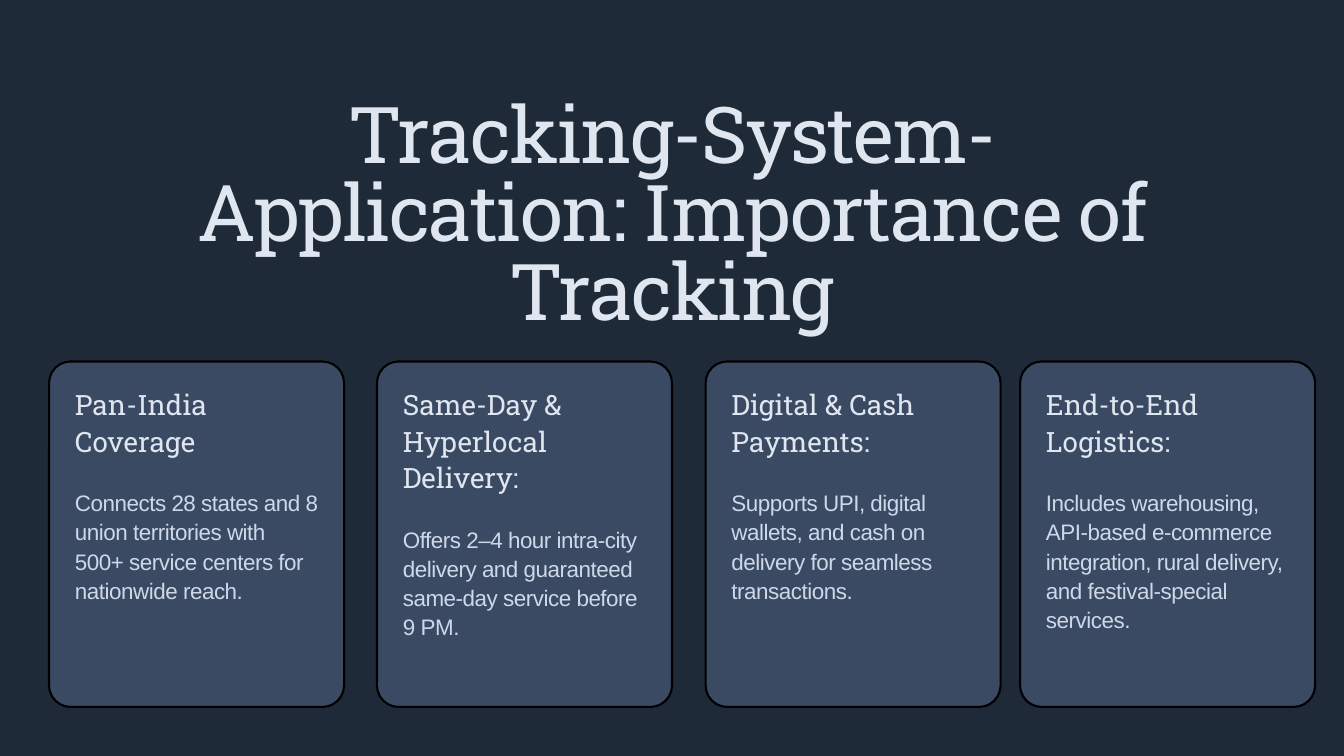
from dataclasses import dataclass

from pptx import Presentation
from pptx.dml.color import RGBColor
from pptx.enum.shapes import MSO_SHAPE
from pptx.enum.text import MSO_AUTO_SIZE, PP_ALIGN
from pptx.slide import Slide
from pptx.util import Inches, Pt

COLORS = {
    "back": "1E2A38",
    "card": "3A4A63",
    "edge": "000000",
    "head": "E0E6F0",
    "body": "CFD8E9",
}

# Card layout in inches
TOP, WIDTH, HEIGHT = 5.38, 4.39, 5.14
RADIUS = 0.32
PAD_X, PAD_Y = 0.385, 0.35
HEAD_LINE, BODY_LINE = 0.54, 0.43
GAP = 0.44


@dataclass(frozen=True)
class Style:
    font: str
    size: float
    color: str
    leading: float
    spacing: float = 0
    align: PP_ALIGN = PP_ALIGN.LEFT


@dataclass(frozen=True)
class Card:
    left: float
    head: str
    body: str
    head_lines: int = 2
    body_lines: int = 4


TITLE = Style("Roboto Slab", 83.9, "head", 83.9, -1.7, PP_ALIGN.CENTER)
HEAD = Style("Roboto Slab", 30, "head", 39)
BODY = Style("Arial", 24, "body", 31.2, -0.5)

CARDS = [
    Card(0.73, "Pan-India Coverage",
         "Connects 28 states and 8 union territories with 500+ service "
         "centers for nationwide reach."),
    Card(5.61, "Same-Day & Hyperlocal Delivery:",
         "Offers 2–4 hour intra-city delivery and guaranteed same-day "
         "service before 9 PM.", head_lines=3),
    Card(10.5, "Digital & Cash Payments:",
         "Supports UPI, digital wallets, and cash on delivery for seamless "
         "transactions."),
    Card(15.18, "End-to-End Logistics:",
         "Includes warehousing, API-based e-commerce integration, rural "
         "delivery, and festival-special services.", body_lines=5),
]


def color(name: str) -> RGBColor:
    return RGBColor.from_string(COLORS[name])


def add_text(slide: Slide, text: str, style: Style, left: float, top: float,
             width: float, height: float) -> None:
    box = slide.shapes.add_textbox(
        Inches(left), Inches(top), Inches(width), Inches(height))
    frame = box.text_frame
    frame.word_wrap = True
    frame.auto_size = MSO_AUTO_SIZE.SHAPE_TO_FIT_TEXT
    frame.margin_left = frame.margin_right = 0
    frame.margin_top = frame.margin_bottom = 0
    para = frame.paragraphs[0]
    para.alignment = style.align
    para.line_spacing = Pt(style.leading)
    run = para.add_run()
    run.text = text
    run.font.name = style.font
    run.font.size = Pt(style.size)
    run.font.color.rgb = color(style.color)
    if style.spacing:
        # Letter spacing is stored in hundredths of a point
        run._r.get_or_add_rPr().set("spc", str(round(style.spacing * 100)))


def add_card(slide: Slide, card: Card) -> None:
    # Panel
    panel = slide.shapes.add_shape(
        MSO_SHAPE.ROUNDED_RECTANGLE, Inches(card.left), Inches(TOP),
        Inches(WIDTH), Inches(HEIGHT))
    panel.adjustments[0] = RADIUS / WIDTH
    panel.shadow.inherit = False
    panel.fill.solid()
    panel.fill.fore_color.rgb = color("card")
    panel.line.color.rgb = color("edge")
    panel.line.width = Pt(2.25)

    # Heading, with the body below its last line
    left, width = card.left + PAD_X, WIDTH - 2 * PAD_X
    top, height = TOP + PAD_Y, card.head_lines * HEAD_LINE
    add_text(slide, card.head, HEAD, left, top, width, height)
    add_text(slide, card.body, BODY, left, top + height + GAP, width,
             card.body_lines * BODY_LINE)


def main() -> None:
    deck = Presentation()
    deck.slide_width, deck.slide_height = Inches(20), Inches(11.25)
    slide = deck.slides.add_slide(deck.slide_layouts[6])
    slide.background.fill.solid()
    slide.background.fill.fore_color.rgb = color("back")

    # Title
    add_text(slide, "Tracking-System-Application: Importance of Tracking",
             TITLE, 2.3, 1.5, 15.4, 2.38)

    # Cards
    for card in CARDS:
        add_card(slide, card)

    deck.save("out.pptx")


if __name__ == "__main__":
    main()
